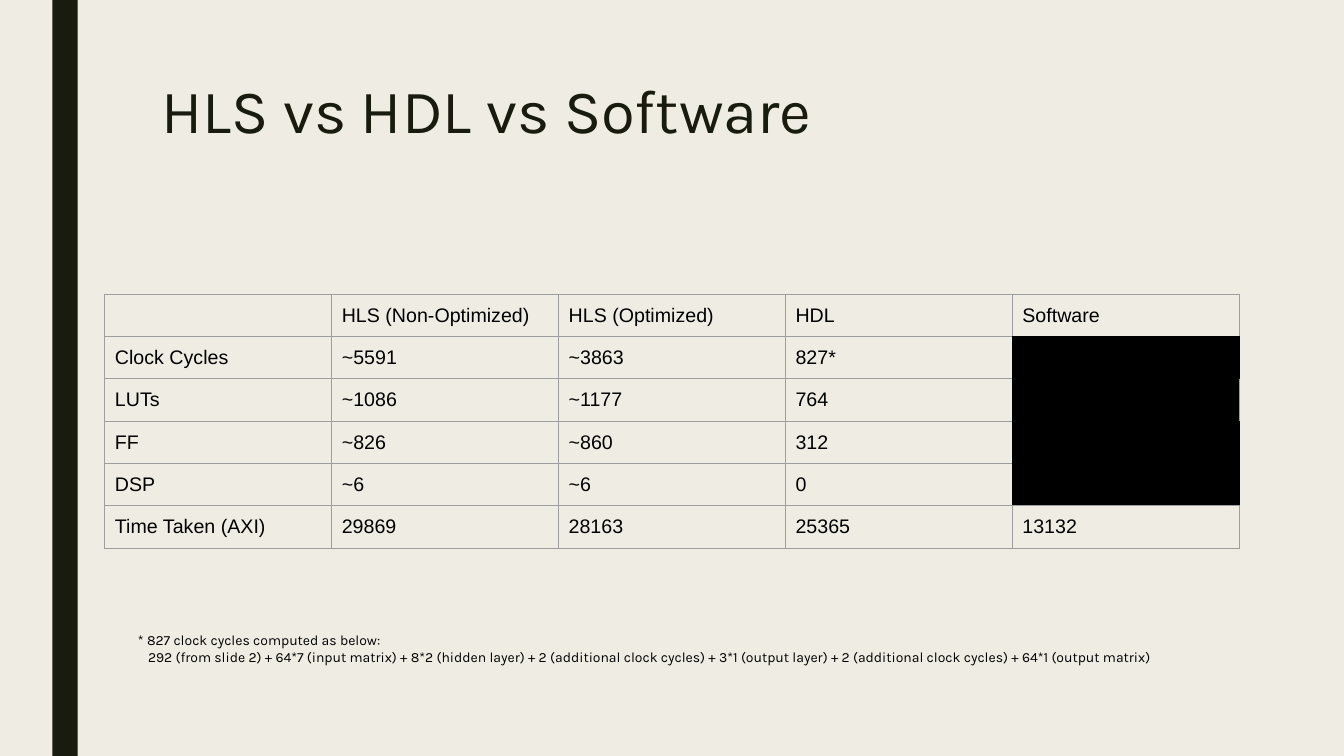
from lxml.etree import SubElement
from pptx import Presentation
from pptx.dml.color import RGBColor
from pptx.enum.shapes import MSO_SHAPE
from pptx.enum.text import MSO_ANCHOR, MSO_AUTO_SIZE, PP_ALIGN
from pptx.oxml.ns import qn
from pptx.util import Inches, Pt

PAPER, INK, BLACK, GREY = "EFEDE3", "191B0E", "000000", "9E9E9E"
ROWS = [
    ["", "HLS (Non-Optimized)", "HLS (Optimized)", "HDL", "Software"],
    ["Clock Cycles", "~5591", "~3863", "827*", ""],
    ["LUTs", "~1086", "~1177", "764", ""],
    ["FF", "~826", "~860", "312", ""],
    ["DSP", "~6", "~6", "0", ""],
    ["Time Taken (AXI)", "29869", "28163", "25365", "13132"],
]
NOTES = [
    "* 827 clock cycles computed as below:",
    "292 (from slide 2) + 64*7 (input matrix) + 8*2 (hidden layer)"
    " + 2 (additional clock cycles) + 3*1 (output layer)"
    " + 2 (additional clock cycles) + 64*1 (output matrix)",
]


def paint(fill, color):
    """Give a fill one solid colour."""
    fill.solid()
    fill.fore_color.rgb = RGBColor.from_string(color)


def write(para, text, size=14, font="Arial", color=BLACK, space=None, indent=0):
    """Write text into a paragraph with its format."""
    run = para.add_run()
    run.text = text
    run.font.size, run.font.name = Pt(size), font
    paint(run.font.fill, color)
    para.alignment = PP_ALIGN.LEFT
    if space:
        para.line_spacing = space
    if indent:
        para._p.get_or_add_pPr().set("marL", str(Inches(indent)))


def inset(item, side, top):
    """Set the side and top margins of a cell or a text frame."""
    item.margin_left = item.margin_right = Inches(side)
    item.margin_top = item.margin_bottom = Inches(top)


def edge(cell, colors):
    """Draw the left, right, top and bottom borders of a cell."""
    props = cell._tc.get_or_add_tcPr()
    for side, color in zip("LRTB", colors):
        line = SubElement(props, qn(f"a:ln{side}"), w=str(Pt(0.75)))
        fill = SubElement(line, qn("a:solidFill"))
        SubElement(fill, qn("a:srgbClr"), val=color)


def is_void(row, col):
    """Tell whether a cell is one of the blacked-out software cells."""
    return col == 4 and 1 <= row <= 4


def add_bar(slide):
    """Add the dark bar at the left."""
    bar = slide.shapes.add_shape(
        MSO_SHAPE.RECTANGLE, Inches(0.52), 0, Inches(0.25), Inches(7.5))
    bar.shadow.inherit = False
    paint(bar.fill, INK)
    bar.line.fill.background()


def add_title(slide, text):
    """Place and fill the title."""
    title = slide.shapes.title
    title.left, title.top = Inches(1.5), Inches(0.75)
    title.width, title.height = Inches(10.5), Inches(1.62)
    frame = title.text_frame
    frame.word_wrap, frame.auto_size = True, MSO_AUTO_SIZE.NONE
    frame.vertical_anchor = MSO_ANCHOR.TOP
    inset(frame, 0.1, 0.05)
    write(frame.paragraphs[0], text, size=44, font="Karla", color=INK, space=0.89)


def fill_cell(cell, row, col):
    """Format one cell and write its text."""
    void = is_void(row, col)
    left = void or is_void(row, col + 1)
    colors = [
        BLACK if void else GREY,
        BLACK if left and not (void and row == 2) else GREY,
        BLACK if void else GREY,
        BLACK if is_void(row + 1, col) else GREY,
    ]
    edge(cell, colors)
    if void:
        paint(cell.fill, BLACK)
    else:
        cell.fill.background()
    text = ROWS[row][col]
    if text:
        inset(cell, 0.1, 0.1)
        write(cell.text_frame.paragraphs[0], text)
    else:
        inset(cell, 0, 0)


def add_grid(slide):
    """Add the table of results."""
    count, width = len(ROWS), len(ROWS[0])
    table = slide.shapes.add_table(
        count, width, Inches(1.04), Inches(2.92),
        Inches(2.25 * width), Inches(0.42 * count)).table
    table.first_row = table.horz_banding = False
    for row in range(count):
        for col in range(width):
            fill_cell(table.cell(row, col), row, col)


def add_notes(slide):
    """Add the footnote below the table."""
    box = slide.shapes.add_textbox(
        Inches(1.27), Inches(6.17), Inches(11.35), Inches(0.54))
    frame = box.text_frame
    frame.word_wrap = True
    inset(frame, 0.1, 0.1)
    write(frame.paragraphs[0], NOTES[0], size=10, font="Karla")
    write(frame.add_paragraph(), NOTES[1], size=10, font="Karla", indent=0.1)


def main():
    """Build the slide and save it."""
    deck = Presentation()
    deck.slide_width, deck.slide_height = Inches(13.33), Inches(7.5)
    slide = deck.slides.add_slide(deck.slide_layouts[5])
    paint(slide.background.fill, PAPER)
    add_bar(slide)
    add_title(slide, "HLS vs HDL vs Software")
    add_grid(slide)
    add_notes(slide)
    deck.save("out.pptx")


main()
